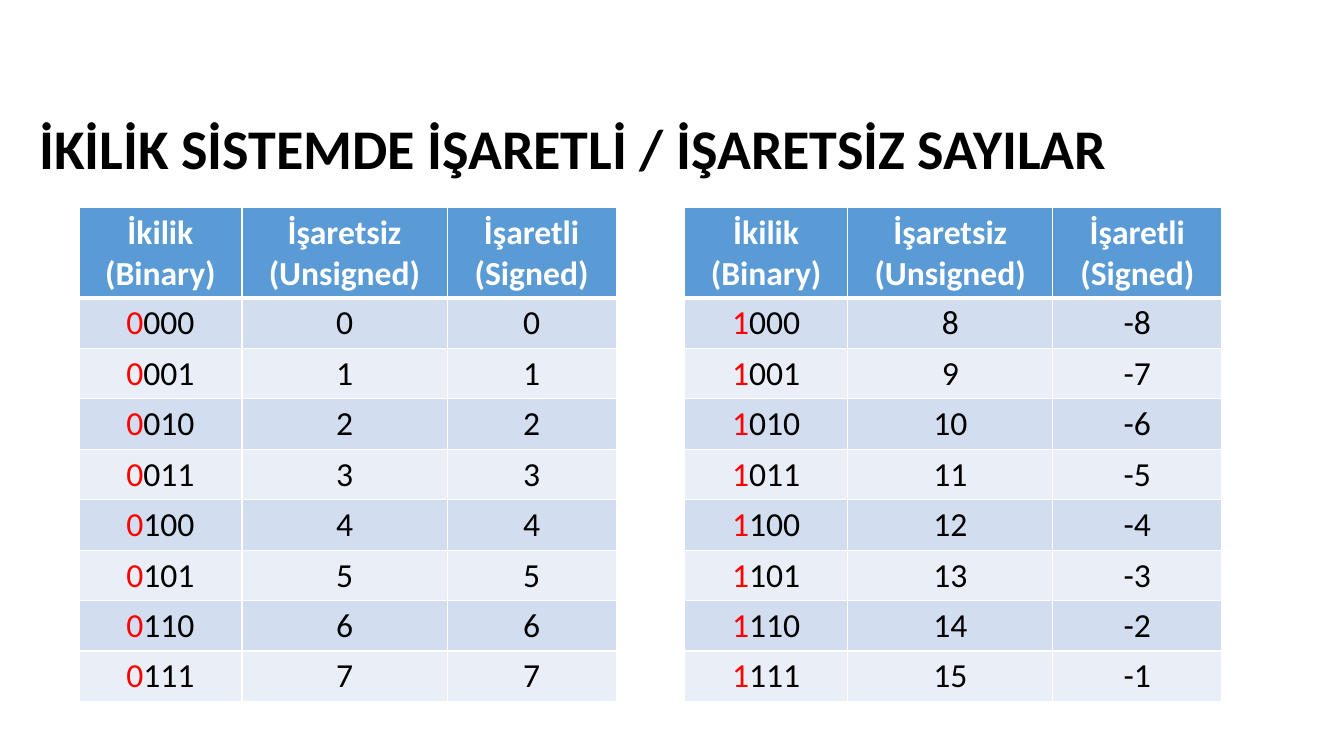
from dataclasses import dataclass

from lxml import etree
from pptx import Presentation
from pptx.dml.color import RGBColor
from pptx.enum.text import MSO_ANCHOR, MSO_AUTO_SIZE, PP_ALIGN
from pptx.oxml.ns import qn
from pptx.util import Pt

LEFT, CENTER = PP_ALIGN.LEFT, PP_ALIGN.CENTER
TOP = MSO_ANCHOR.TOP
FIT_SHAPE = MSO_AUTO_SIZE.SHAPE_TO_FIT_TEXT
TITLE_ONLY = 5

# Content
TITLE = "İKİLİK SİSTEMDE İŞARETLİ / İŞARETSİZ SAYILAR"
HEADERS = ("İkilik (Binary)", "İşaretsiz (Unsigned)", "İşaretli (Signed)")
BITS = 4
HALF = 2 ** (BITS - 1)
FIRST_VALUES = (0, HALF)


@dataclass(frozen=True)
class Theme:
    font: str = "Calibri"
    title_size: int = 40
    table_size: int = 24
    text: str = "000000"
    sign_bit: str = "FF0000"
    white: str = "FFFFFF"
    header: str = "5B9BD5"
    bands: tuple = ("D2DEEF", "EAEFF7")


THEME = Theme()

# Layout, in points
SLIDE_W, SLIDE_H = 960, 540
TITLE_BOX = (20.9, 77.8, 784, 55.4)
TABLE_LEFT, TABLE_TOP, TABLE_STEP = 56.4, 148, 432.7
COLUMNS = (116.4, 146.6, 120.7)
HEADER_H, ROW_H = 64.8, 36
BORDER, HEADER_BORDER = 1, 3


def add_run(p, text, size, color, bold=False):
    r = p.add_run()
    r.text = text
    r.font.name = THEME.font
    r.font.size = Pt(size)
    r.font.bold = bold
    r.font.color.rgb = RGBColor.from_string(color)


def set_borders(cell, row):
    tc_pr = cell._tc.get_or_add_tcPr()
    widths = {
        "L": BORDER,
        "R": BORDER,
        "T": HEADER_BORDER if row == 1 else BORDER,
        "B": HEADER_BORDER if row == 0 else BORDER,
    }
    for side, width in widths.items():
        ln = etree.SubElement(tc_pr, qn(f"a:ln{side}"), w=str(Pt(width)))
        fill = etree.SubElement(ln, qn("a:solidFill"))
        etree.SubElement(fill, qn("a:srgbClr"), val=THEME.white)


def fill_cell(cell, row, runs, bold=False):
    set_borders(cell, row)
    color = THEME.header if row == 0 else THEME.bands[(row - 1) % 2]
    cell.fill.solid()
    cell.fill.fore_color.rgb = RGBColor.from_string(color)
    p = cell.text_frame.paragraphs[0]
    p.alignment = CENTER
    for text, text_color in runs:
        add_run(p, text, THEME.table_size, text_color, bold)


def number_row(value):
    bits = f"{value:0{BITS}b}"
    signed = value if value < HALF else value - 2 ** BITS
    return (
        [(bits[0], THEME.sign_bit), (bits[1:], THEME.text)],
        [(str(value), THEME.text)],
        [(str(signed), THEME.text)],
    )


def add_number_table(s, left, first):
    height = HEADER_H + HALF * ROW_H
    table = s.shapes.add_table(
        HALF + 1, len(COLUMNS),
        Pt(left), Pt(TABLE_TOP), Pt(sum(COLUMNS)), Pt(height),
    ).table
    for column, width in zip(table.columns, COLUMNS):
        column.width = Pt(width)
    for i, row in enumerate(table.rows):
        row.height = Pt(ROW_H if i else HEADER_H)

    for cell, text in zip(table.rows[0].cells, HEADERS):
        fill_cell(cell, 0, [(text, THEME.white)], bold=True)
    for i in range(1, HALF + 1):
        for cell, runs in zip(table.rows[i].cells, number_row(first + i - 1)):
            fill_cell(cell, i, runs)


def main():
    prs = Presentation()
    prs.slide_width, prs.slide_height = Pt(SLIDE_W), Pt(SLIDE_H)
    s = prs.slides.add_slide(prs.slide_layouts[TITLE_ONLY])

    # Title
    title = s.shapes.title
    title.left, title.top, title.width, title.height = map(Pt, TITLE_BOX)
    tf = title.text_frame
    tf.word_wrap = False
    tf.auto_size = FIT_SHAPE
    tf.vertical_anchor = TOP
    p = tf.paragraphs[0]
    p.alignment = LEFT
    add_run(p, TITLE, THEME.title_size, THEME.text, bold=True)

    # Tables for a sign bit of 0 and of 1
    for i, first in enumerate(FIRST_VALUES):
        add_number_table(s, TABLE_LEFT + i * TABLE_STEP, first)

    prs.save("out.pptx")


if __name__ == "__main__":
    main()
